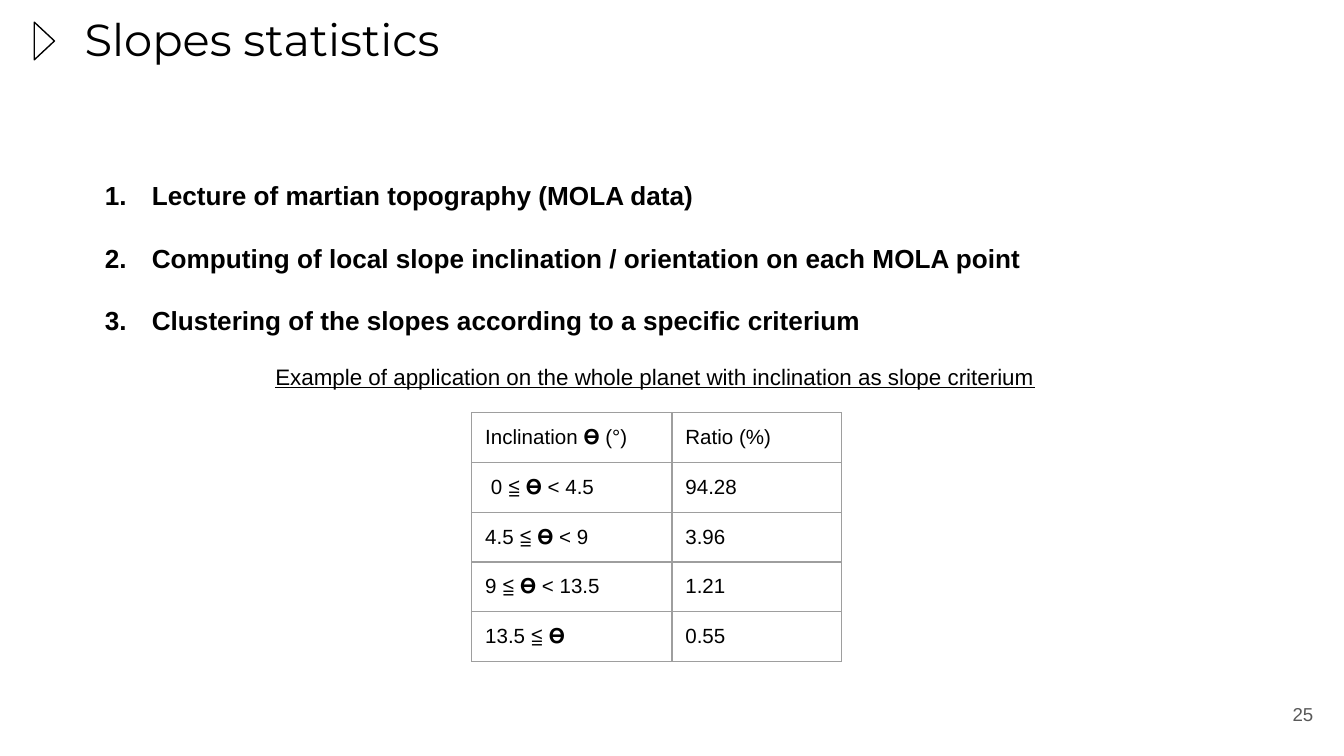
from dataclasses import dataclass

from lxml import etree
from pptx import Presentation
from pptx.dml.color import RGBColor
from pptx.enum.shapes import MSO_SHAPE
from pptx.enum.text import MSO_ANCHOR, MSO_AUTO_SIZE, PP_ALIGN
from pptx.oxml.ns import qn
from pptx.util import Inches, Pt

TRIANGLE = MSO_SHAPE.ISOSCELES_TRIANGLE
TOP, MIDDLE = MSO_ANCHOR.TOP, MSO_ANCHOR.MIDDLE
LEFT, RIGHT = PP_ALIGN.LEFT, PP_ALIGN.RIGHT
NO_AUTOFIT = MSO_AUTO_SIZE.NONE

COLORS = {"text": "000000", "paper": "FFFFFF", "number": "595959", "border": "9E9E9E"}
SLIDE_WIDTH = Inches(10)
SLIDE_HEIGHT = SLIDE_WIDTH * 9 // 16
INSET = Inches(0.1)
BORDER_WIDTH = Pt(0.75)
COLUMN_WIDTHS = (1.49, 1.26)
ROW_HEIGHT = 0.37


@dataclass
class Box:
    left: float
    top: float
    width: float
    height: float

    def lengths(self):
        return [Inches(v) for v in (self.left, self.top, self.width, self.height)]


@dataclass
class SlopeClass:
    inclination: str
    ratio: str


STEPS = (
    "Lecture of martian topography (MOLA data)",
    "Computing of local slope inclination / orientation on each MOLA point",
    "Clustering of the slopes according to a specific criterium",
)
SLOPE_CLASSES = (
    SlopeClass("Inclination 𝚹 (°)", "Ratio (%)"),
    SlopeClass(" 0 ≦ 𝚹 < 4.5", "94.28"),
    SlopeClass("4.5 ≦ 𝚹 < 9", "3.96"),
    SlopeClass("9 ≦ 𝚹 < 13.5", "1.21"),
    SlopeClass("13.5 ≦ 𝚹", "0.55"),
)


def rgb(name: str) -> RGBColor:
    return RGBColor.from_string(COLORS[name])


def write(paragraph, text: str, *, size: float, font="Arial", color="text",
          bold=False, underline=False, align=LEFT, spacing=1.0) -> None:
    paragraph.alignment = align
    paragraph.line_spacing = spacing
    paragraph.space_before = Pt(0)
    run = paragraph.add_run()
    run.text = text
    run.font.size = Pt(size)
    run.font.name = font
    run.font.bold = bold
    run.font.underline = underline
    run.font.color.rgb = rgb(color)


def set_frame(shape, anchor=TOP):
    frame = shape.text_frame
    frame.word_wrap = True
    frame.auto_size = NO_AUTOFIT
    frame.vertical_anchor = anchor
    frame.margin_left = frame.margin_right = INSET
    frame.margin_top = frame.margin_bottom = INSET
    return frame


def place(shape, box: Box) -> None:
    shape.left, shape.top, shape.width, shape.height = box.lengths()


def add_label(slide, box: Box, text: str, anchor=TOP, **text_format) -> None:
    label = slide.shapes.add_textbox(*box.lengths())
    write(set_frame(label, anchor).paragraphs[0], text, **text_format)


def add_number(paragraph) -> None:
    properties = paragraph._p.get_or_add_pPr()
    properties.set("marL", str(Inches(0.5)))
    properties.set("indent", str(Inches(-0.35)))
    color = etree.SubElement(properties, qn("a:buClr"))
    etree.SubElement(color, qn("a:srgbClr"), val=COLORS["text"])
    etree.SubElement(properties, qn("a:buFont"), typeface="Arial")
    etree.SubElement(properties, qn("a:buAutoNum"), type="arabicPeriod")


def add_borders(cell) -> None:
    properties = cell._tc.get_or_add_tcPr()
    for side in ("lnL", "lnR", "lnT", "lnB"):
        line = etree.SubElement(properties, qn(f"a:{side}"), w=str(BORDER_WIDTH))
        fill = etree.SubElement(line, qn("a:solidFill"))
        etree.SubElement(fill, qn("a:srgbClr"), val=COLORS["border"])


def add_marker(slide, box: Box) -> None:
    marker = slide.shapes.add_shape(TRIANGLE, *box.lengths())
    marker.rotation = 90
    marker.shadow.inherit = False
    marker.fill.solid()
    marker.fill.fore_color.rgb = rgb("paper")
    marker.line.color.rgb = rgb("text")
    marker.line.width = Pt(0.75)


def add_steps(body, box: Box) -> None:
    place(body, box)
    frame = set_frame(body)
    for index, step in enumerate(STEPS):
        paragraph = frame.add_paragraph() if index else frame.paragraphs[0]
        add_number(paragraph)
        write(paragraph, step, size=14, bold=True, spacing=2.0)


def add_ratio_table(slide, left: float, top: float) -> None:
    box = Box(left, top, sum(COLUMN_WIDTHS), ROW_HEIGHT * len(SLOPE_CLASSES))
    table = slide.shapes.add_table(
        len(SLOPE_CLASSES), len(COLUMN_WIDTHS), *box.lengths()).table
    table.first_row = table.horz_banding = False
    for column, width in zip(table.columns, COLUMN_WIDTHS):
        column.width = Inches(width)
    for row, slope_class in zip(table.rows, SLOPE_CLASSES):
        row.height = Inches(ROW_HEIGHT)
        for cell, text in zip(row.cells, (slope_class.inclination, slope_class.ratio)):
            cell.margin_left = cell.margin_right = INSET
            cell.margin_top = cell.margin_bottom = INSET
            add_borders(cell)
            cell.fill.background()
            write(cell.text_frame.paragraphs[0], text, size=11)


def main() -> None:
    deck = Presentation()
    deck.slide_width, deck.slide_height = SLIDE_WIDTH, SLIDE_HEIGHT
    slide = deck.slides.add_slide(deck.slide_layouts[1])

    add_marker(slide, Box(0.19, 0.23, 0.28, 0.15))
    title, body = slide.placeholders
    place(title, Box(0.53, -0.01, 9.32, 0.63))
    write(set_frame(title).paragraphs[0], "Slopes statistics", size=24, font="Montserrat")
    add_label(slide, Box(9.27, 5.1, 0.6, 0.43), "25", MIDDLE,
              size=10, color="number", align=RIGHT)
    add_steps(body, Box(0.53, 1, 8.69, 1.46))
    add_ratio_table(slide, 3.51, 3.07)
    add_label(slide, Box(1.95, 2.6, 5.85, 0.34),
              "Example of application on the whole planet with inclination as slope criterium",
              size=12, underline=True)
    deck.save("out.pptx")


if __name__ == "__main__":
    main()
